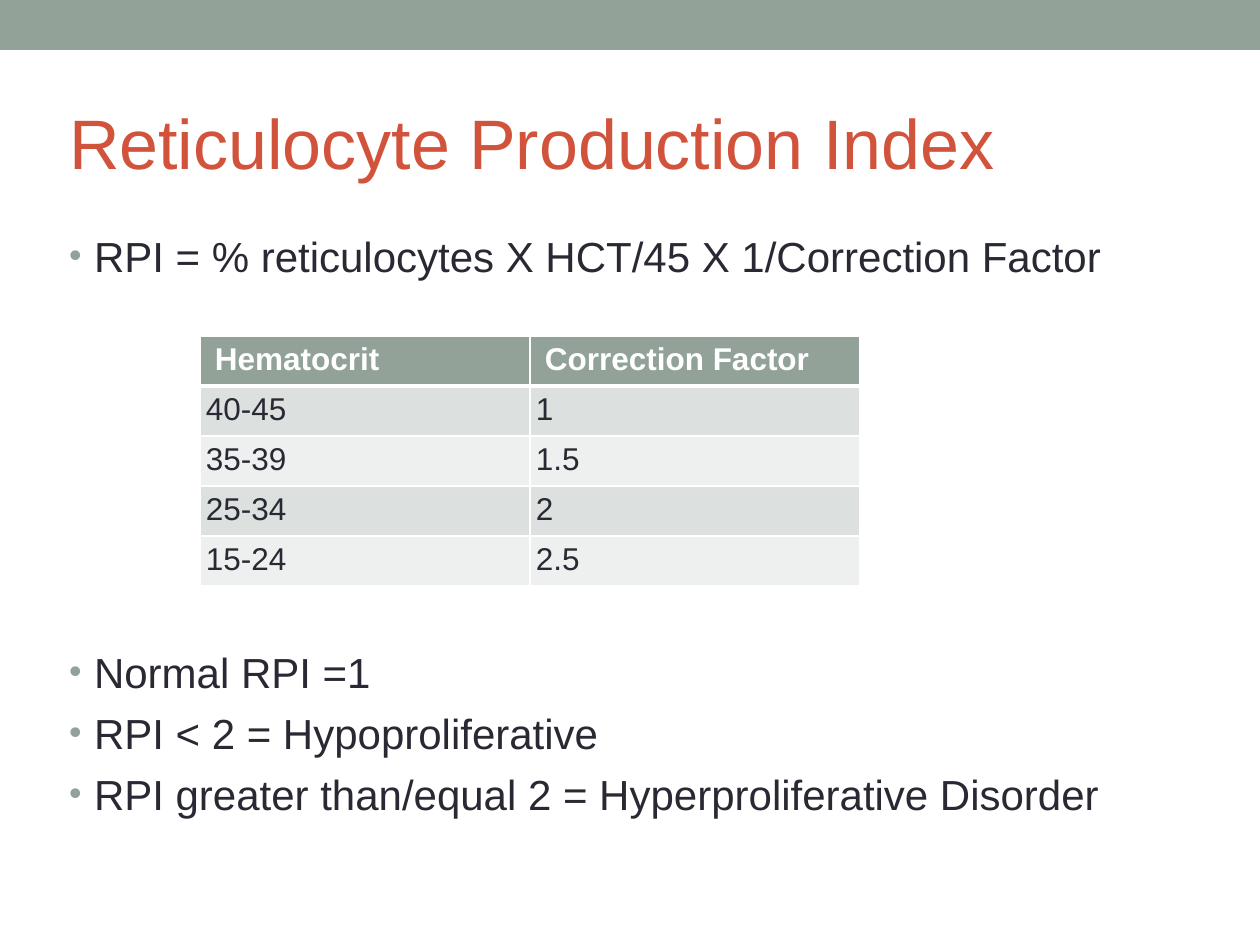
"""Build the Reticulocyte Production Index slide."""
from lxml.etree import SubElement
from pptx import Presentation
from pptx.dml.color import RGBColor
from pptx.enum.shapes import MSO_SHAPE
from pptx.enum.text import MSO_ANCHOR, MSO_AUTO_SIZE, PP_ALIGN
from pptx.oxml.ns import qn
from pptx.util import Emu, Pt

PX = 914400 // 126
THEME = {
    "accent": "93A299", "title": "D2533C", "text": "292934", "white": "FFFFFF",
    "bands": ("DCE0DE", "EEF0EF"), "font": "Arial",
    "title_size": 40, "body_size": 24, "table_size": 18,
}
INSET = 6


def set_font(paragraph, size, color, bold=False):
    for run in paragraph.runs:
        run.font.name = THEME["font"]
        run.font.size = Pt(size)
        run.font.bold = bold
        run.font.color.rgb = RGBColor.from_string(color)


def place(placeholder, left, top, width, height, inset_top):
    placeholder.left, placeholder.top = Emu(left * PX), Emu(top * PX)
    placeholder.width, placeholder.height = Emu(width * PX), Emu(height * PX)
    frame = placeholder.text_frame
    frame.word_wrap = True
    frame.auto_size = MSO_AUTO_SIZE.NONE
    frame.margin_left = frame.margin_right = frame.margin_bottom = Emu(INSET * PX)
    frame.margin_top = Emu(inset_top * PX)
    return frame


deck = Presentation()
deck.slide_width, deck.slide_height = Emu(1260 * PX), Emu(945 * PX)
slide = deck.slides.add_slide(deck.slide_layouts[1])

banner = slide.shapes.add_shape(MSO_SHAPE.RECTANGLE, 0, 0, deck.slide_width, Emu(50 * PX))
banner.shadow.inherit = False
banner.fill.solid()
banner.fill.fore_color.rgb = RGBColor.from_string(THEME["accent"])
banner.line.fill.background()

heading = place(slide.shapes.title, 63, 73, 1134, 136, INSET)
heading.vertical_anchor = MSO_ANCHOR.MIDDLE
heading.text = "Reticulocyte Production Index"
heading.paragraphs[0].alignment = PP_ALIGN.LEFT
set_font(heading.paragraphs[0], THEME["title_size"], THEME["title"])

points = [
    ("RPI = % reticulocytes X HCT/45 X 1/Correction Factor", 0),
    ("Normal RPI =1", 209),
    ("RPI < 2 = Hypoproliferative", 6),
    ("RPI greater than/equal 2 = Hyperproliferative Disorder", 6),
]
body = place(slide.placeholders[1], 63, 220, 1134, 672, 10)
body.text = "\n".join(wording for wording, gap in points)
for point, (wording, gap) in zip(body.paragraphs, points):
    properties = point._p.get_or_add_pPr()
    properties.set("marL", str(25 * PX))
    properties.set("indent", str(-25 * PX))
    bullet_color = SubElement(properties, qn("a:buClr"))
    SubElement(bullet_color, qn("a:srgbClr"), val=THEME["accent"])
    SubElement(properties, qn("a:buSzPct"), val="85000")
    SubElement(properties, qn("a:buFont"), typeface=THEME["font"])
    SubElement(properties, qn("a:buChar"), char="•")
    point.space_before = Pt(gap)
    set_font(point, THEME["body_size"], THEME["text"])

factors = [
    ("Hematocrit", "Correction Factor"),
    ("40-45", "1"),
    ("35-39", "1.5"),
    ("25-34", "2"),
    ("15-24", "2.5"),
]
factor_table = slide.shapes.add_table(
    len(factors), 2, Emu(200 * PX), Emu(336 * PX), Emu(660 * PX), Emu(250 * PX)
).table
factor_table.first_row = factor_table.horz_banding = False
for row, entries in enumerate(factors):
    header = row == 0
    edges = {"lnL": 1, "lnR": 1, "lnT": 3 if row == 1 else 1, "lnB": 3 if header else 1}
    for column, entry in enumerate(entries):
        cell = factor_table.cell(row, column)
        cell.text = entry
        cell.margin_left = Emu((15 if header else INSET) * PX)
        cell.margin_right = cell.margin_top = cell.margin_bottom = Emu(INSET * PX)
        for edge, width in edges.items():
            border = SubElement(cell._tc.get_or_add_tcPr(), qn(f"a:{edge}"), w=str(Pt(width)))
            border_fill = SubElement(border, qn("a:solidFill"))
            SubElement(border_fill, qn("a:srgbClr"), val=THEME["white"])
        cell.fill.solid()
        fill = THEME["accent"] if header else THEME["bands"][(row - 1) % 2]
        cell.fill.fore_color.rgb = RGBColor.from_string(fill)
        set_font(cell.text_frame.paragraphs[0], THEME["table_size"],
                 THEME["white"] if header else THEME["text"], header)

deck.save("out.pptx")
